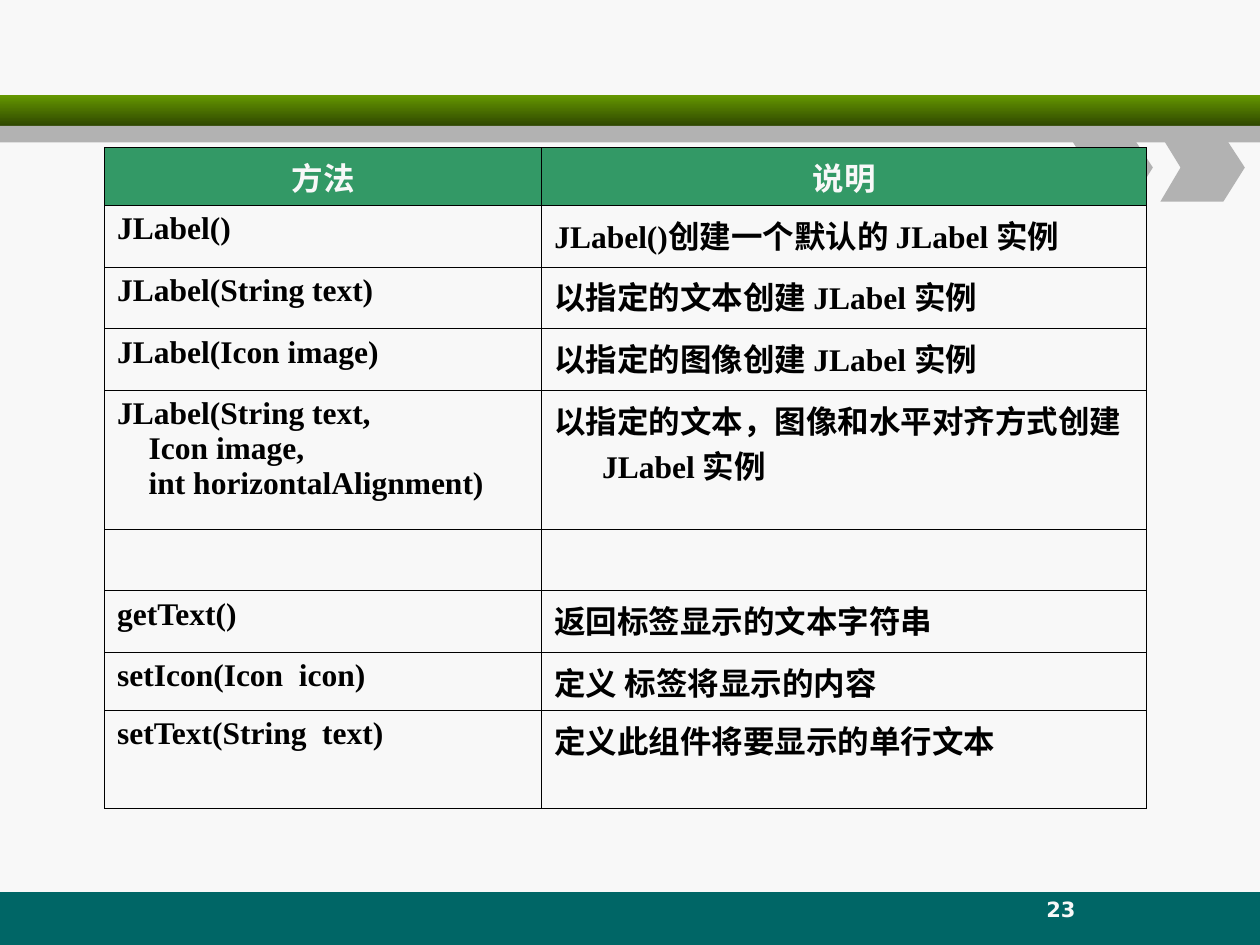
"""Build the slide listing the JLabel constructors and methods."""
from lxml import etree
from pptx import Presentation
from pptx.dml.color import RGBColor
from pptx.enum.shapes import MSO_SHAPE
from pptx.enum.text import PP_ALIGN
from pptx.oxml.ns import qn
from pptx.util import Inches, Pt

RECTANGLE = MSO_SHAPE.RECTANGLE
CENTER, LEFT = PP_ALIGN.CENTER, PP_ALIGN.LEFT

PAPER = RGBColor(0xF8, 0xF8, 0xF8)
INK = RGBColor(0, 0, 0)
TEAL = RGBColor(0, 0x66, 0x66)
GREEN = RGBColor(0x33, 0x99, 0x66)
LIME = RGBColor(0x66, 0x99, 0)
MOSS = RGBColor(0x2F, 0x47, 0)
GRAY = RGBColor(0xB2, 0xB2, 0xB2)

ROWS = [
    (0.46, ["方法"], "说明"),
    (0.49, ["JLabel()"], "JLabel()创建一个默认的 JLabel 实例"),
    (0.49, ["JLabel(String text)"], "以指定的文本创建 JLabel 实例"),
    (0.49, ["JLabel(Icon image)"], "以指定的图像创建 JLabel 实例"),
    (1.1, ["JLabel(String text,", "Icon image,", "int horizontalAlignment)"],
     "以指定的文本，图像和水平对齐方式创建 JLabel 实例"),
    (0.49, [], ""),
    (0.49, ["getText()"], "返回标签显示的文本字符串"),
    (0.46, ["setIcon(Icon  icon)"], "定义 标签将显示的内容"),
    (0.78, ["setText(String  text)"], "定义此组件将要显示的单行文本"),
]
COLUMNS = [3.47, 4.8]
TABLE_LEFT, TABLE_TOP = 0.83, 1.17
HANGING, ARGUMENT_INDENT = 0.38, 0.25
BORDER_WIDTH = Pt(0.45)
PAGE_NUMBER = "23"
CHEVRON_LEFTS = [8.48, 9.21]
CHEVRON_TOP = 1.07
CHEVRON_OUTLINE = [(0, 0), (0.5, 0), (0.67, 0.26), (0.5, 0.53), (0, 0.53), (0.16, 0.26)]


def finish(shape, color):
    shape.shadow.inherit = False
    shape.line.fill.background()
    if color is not None:
        shape.fill.solid()
        shape.fill.fore_color.rgb = color


def add_band(page, top, height, color=None):
    band = page.shapes.add_shape(RECTANGLE, 0, Inches(top), Inches(10), Inches(height))
    finish(band, color)
    return band


def add_chevron(page, left):
    points = [(Inches(left + x), Inches(CHEVRON_TOP + y)) for x, y in CHEVRON_OUTLINE]
    builder = page.shapes.build_freeform(*points[0])
    builder.add_line_segments(points[1:], close=True)
    finish(builder.convert_to_shape(), GRAY)


def set_font(para, size, name, color):
    para.font.size = Pt(size)
    para.font.name = name
    para.font.bold = True
    para.font.color.rgb = color


def add_borders(cell):
    properties = cell._tc.get_or_add_tcPr()
    for position, side in enumerate(("a:lnL", "a:lnR", "a:lnT", "a:lnB")):
        line = etree.Element(qn(side), w=str(BORDER_WIDTH))
        fill = etree.SubElement(line, qn("a:solidFill"))
        etree.SubElement(fill, qn("a:srgbClr"), val=str(INK))
        properties.insert(position, line)


def fill_cell(cell, lines, is_header):
    cell.fill.solid()
    cell.fill.fore_color.rgb = GREEN if is_header else PAPER
    add_borders(cell)
    cell.text = "\n".join(lines)
    for number, para in enumerate(cell.text_frame.paragraphs):
        para.alignment = CENTER if is_header else LEFT
        margin, indent = (ARGUMENT_INDENT, 0) if number else (HANGING, -HANGING)
        properties = para._p.get_or_add_pPr()
        properties.set("marL", str(Inches(margin)))
        properties.set("indent", str(Inches(indent)))
        set_font(para, 18, "Times New Roman", PAPER if is_header else INK)


def add_method_table(page):
    frame = page.shapes.add_table(
        len(ROWS), len(COLUMNS), Inches(TABLE_LEFT), Inches(TABLE_TOP),
        Inches(sum(COLUMNS)), Inches(sum(row[0] for row in ROWS)))
    table = frame.table
    for column, width in zip(table.columns, COLUMNS):
        column.width = Inches(width)
    for index, (height, signature, description) in enumerate(ROWS):
        table.rows[index].height = Inches(height)
        fill_cell(table.cell(index, 0), signature, index == 0)
        fill_cell(table.cell(index, 1), [description], index == 0)


def add_page_number(page):
    box = page.shapes.add_textbox(Inches(7.17), Inches(7.07), Inches(2.5), Inches(0.43))
    box.text_frame.word_wrap = True
    para = box.text_frame.paragraphs[0]
    para.text = PAGE_NUMBER
    para.alignment = CENTER
    set_font(para, 12, "DejaVu Sans", PAPER)


def main():
    deck = Presentation()
    deck.slide_width, deck.slide_height = Inches(10), Inches(7.5)
    page = deck.slides.add_slide(deck.slide_layouts[6])
    page.background.fill.solid()
    page.background.fill.fore_color.rgb = PAPER

    add_band(page, 7.08, 0.42, TEAL)
    top_band = add_band(page, 0.75, 0.25)
    top_band.fill.gradient()
    top_band.fill.gradient_angle = 270
    for stop, color in zip(top_band.fill.gradient_stops, (LIME, MOSS)):
        stop.color.rgb = color
    add_band(page, 1, 0.13, GRAY)
    for left in CHEVRON_LEFTS:
        add_chevron(page, left)
    add_page_number(page)
    add_method_table(page)
    deck.save("out.pptx")


if __name__ == "__main__":
    main()
